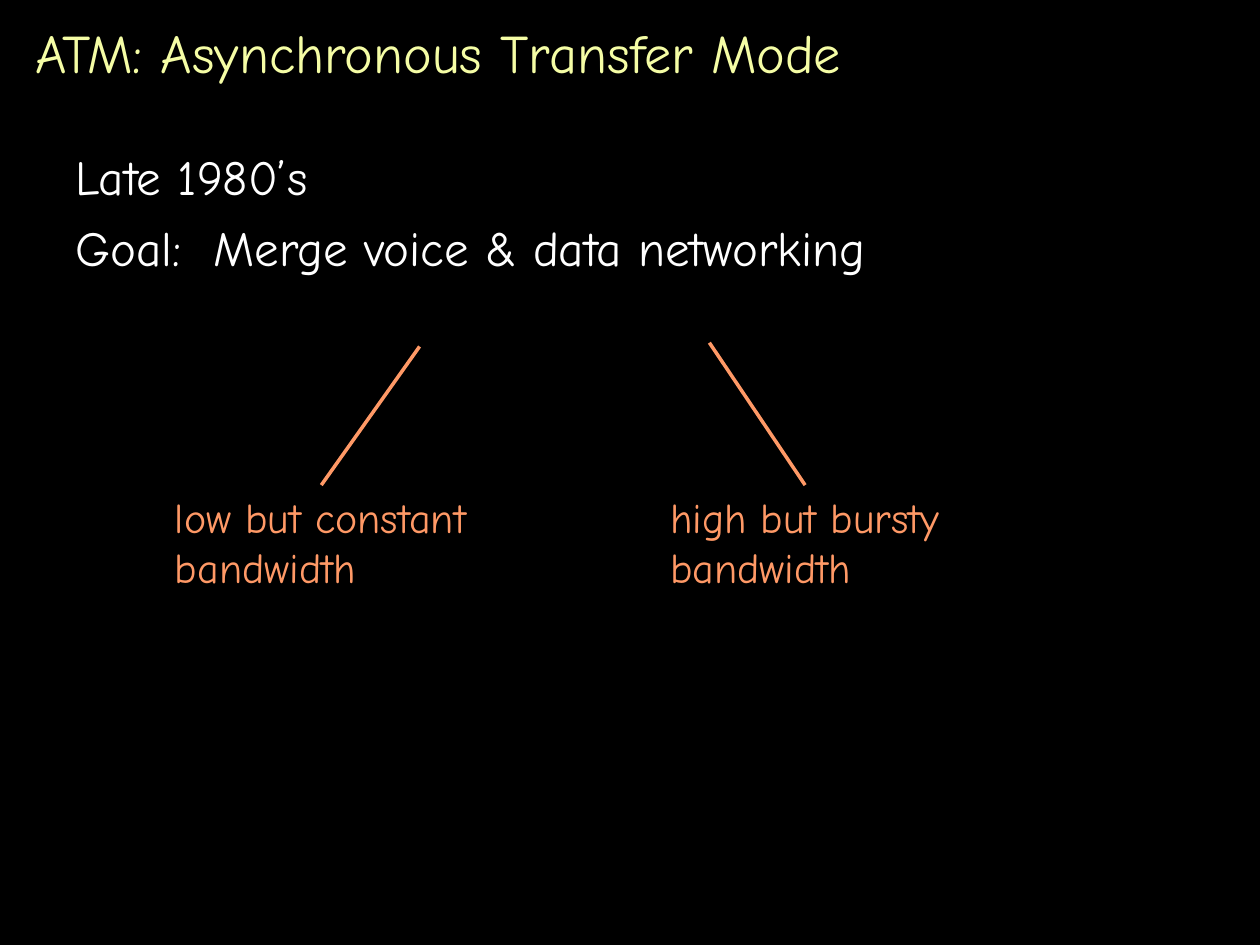
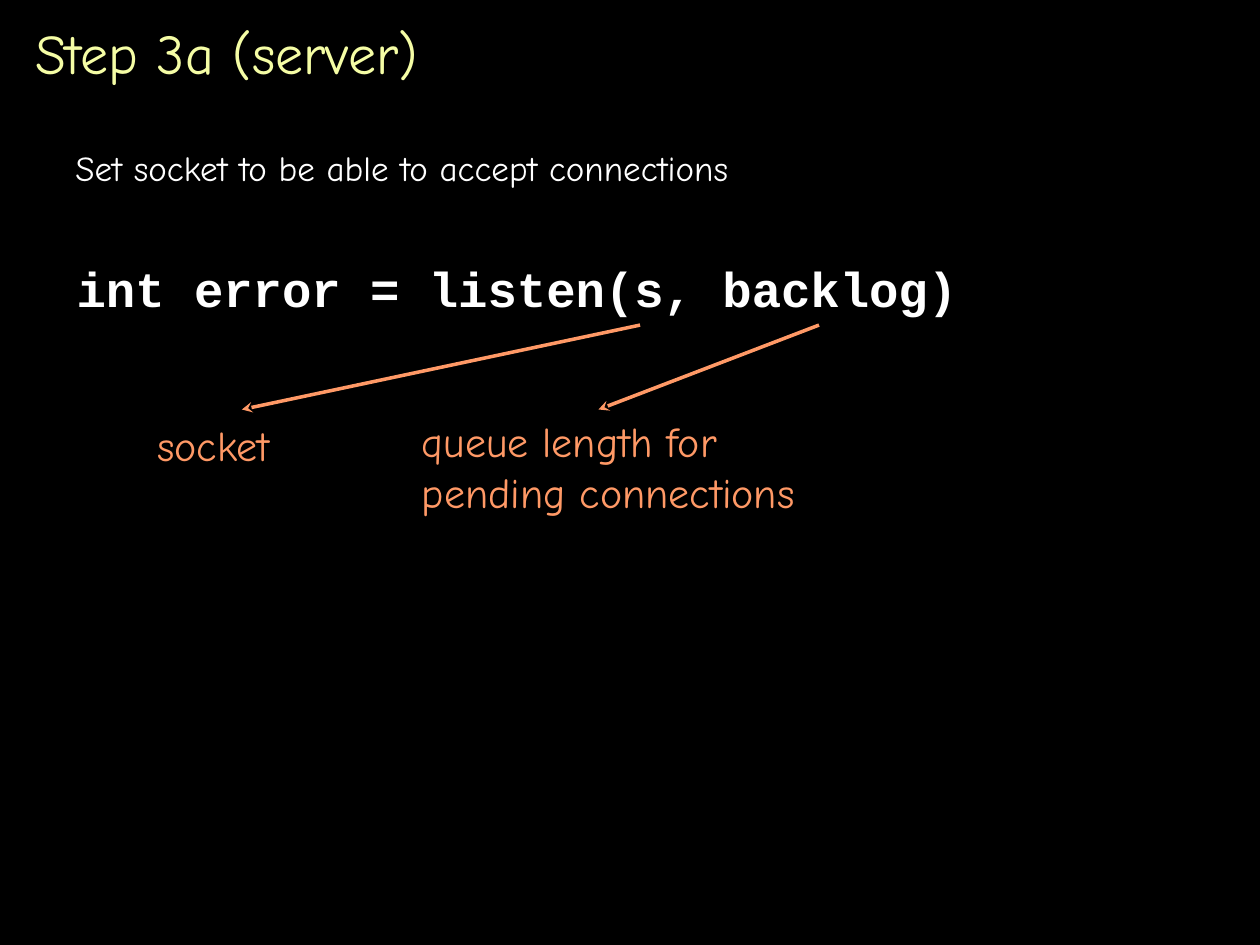
from dataclasses import dataclass

from lxml import etree
from pptx import Presentation, util as u
from pptx.dml.color import RGBColor
from pptx.enum import shapes, text
from pptx.oxml import ns

Inches = u.Inches
COLORS = {"background": "000000", "title": "F5FDA5", "body": "FFFFFF", "note": "FF9966"}
HAND, CODE = "Comic Neue", "Courier New"
TOP_SIDE = 0


@dataclass
class TextBlock:
    left: float
    top: float
    width: float
    height: float
    lines: list[str]
    size: float
    color: str = "note"
    font: str = HAND
    bold: bool = False
    wrap: bool = False
    anchor: text.MSO_ANCHOR = text.MSO_ANCHOR.TOP
    space_before: float = 0
    tab: float | None = None


@dataclass
class Pointer:
    start: tuple[float, float]
    end: tuple[float, float]
    arrow: bool = False


def rgb(name: str) -> RGBColor:
    return RGBColor.from_string(COLORS[name])


def add_text(slide, block: TextBlock):
    box = slide.shapes.add_textbox(
        Inches(block.left), Inches(block.top), Inches(block.width), Inches(block.height))
    frame = box.text_frame
    frame.word_wrap = block.wrap
    frame.vertical_anchor = block.anchor
    for index, line in enumerate(block.lines):
        paragraph = frame.add_paragraph() if index else frame.paragraphs[0]
        paragraph.text = line
        if index:
            paragraph.space_before = u.Pt(block.space_before)
        if block.tab and "\t" in line:
            stops = etree.SubElement(paragraph._p.get_or_add_pPr(), ns.qn("a:tabLst"))
            etree.SubElement(stops, ns.qn("a:tab"), pos=str(Inches(block.tab)), algn="l")
        font = paragraph.font
        font.name, font.size, font.bold = block.font, u.Pt(block.size), block.bold
        font.color.rgb = rgb(block.color)
    return box


def add_pointer(slide, pointer: Pointer):
    line = slide.shapes.add_connector(
        shapes.MSO_CONNECTOR.STRAIGHT,
        *(Inches(value) for value in pointer.start + pointer.end))
    line.line.color.rgb = rgb("note")
    line.line.width = u.Pt(2)
    if pointer.arrow:
        etree.SubElement(line.line._get_or_add_ln(), ns.qn("a:tailEnd"), type="stealth")
    etree.SubElement(line._element.spPr, ns.qn("a:effectLst"))
    return line


def add_slide(prs, title: str, title_size: float):
    slide = prs.slides.add_slide(prs.slide_layouts[6])
    add_text(slide, TextBlock(0.18, 0.08, 9.67, 0.67, [title], title_size, "title",
                              wrap=True, anchor=text.MSO_ANCHOR.MIDDLE))
    return slide


def build_atm(prs) -> None:
    slide = add_slide(prs, "ATM: Asynchronous Transfer Mode", 31)
    add_text(slide, TextBlock(
        0.5, 1.11, 9, 5.59, ["Late 1980’s", "Goal:\tMerge voice & data networking"],
        28, "body", wrap=True, space_before=7, tab=1.1))

    # Each traffic kind hangs from its word in the goal
    traffic_kinds = [
        (TextBlock(1.29, 3.85, 2.52, 0.9, ["low but constant\nbandwidth"], 24),
         Pointer((3.33, 2.75), (2.56, 3.85))),
        (TextBlock(5.22, 3.85, 2.34, 0.9, ["high but bursty\nbandwidth"], 24),
         Pointer((5.63, 2.72), (6.35, 3.85))),
    ]
    for label, pointer in traffic_kinds:
        label_box = add_text(slide, label)
        add_pointer(slide, pointer).end_connect(label_box, TOP_SIDE)


def build_listen(prs) -> None:
    slide = add_slide(prs, "Step 3a (server)", 32)
    add_text(slide, TextBlock(0.5, 1.11, 9, 0.67,
                              ["Set socket to be able to accept connections"],
                              20, "body", wrap=True))
    add_text(slide, TextBlock(0.51, 2, 7.19, 0.57, ["int error = listen(s, backlog)"],
                              28, "body", CODE, bold=True))

    # Arguments of the call and what they mean
    arguments = [
        (TextBlock(1.15, 3.28, 1.1, 0.5, ["socket"], 24),
         Pointer((5.08, 2.58), (1.92, 3.25), arrow=True)),
        (TextBlock(3.25, 3.25, 3.75, 0.9, ["queue length for pending connections"], 24,
                   wrap=True),
         Pointer((6.5, 2.58), (4.75, 3.25), arrow=True)),
    ]
    for meaning, pointer in arguments:
        add_pointer(slide, pointer)
        add_text(slide, meaning)


def main() -> None:
    prs = Presentation()
    prs.slide_width, prs.slide_height = Inches(10), Inches(7.5)
    backdrop = prs.slide_master.background.fill
    backdrop.solid()
    backdrop.fore_color.rgb = rgb("background")
    build_atm(prs)
    build_listen(prs)
    prs.save("out.pptx")


if __name__ == "__main__":
    main()
